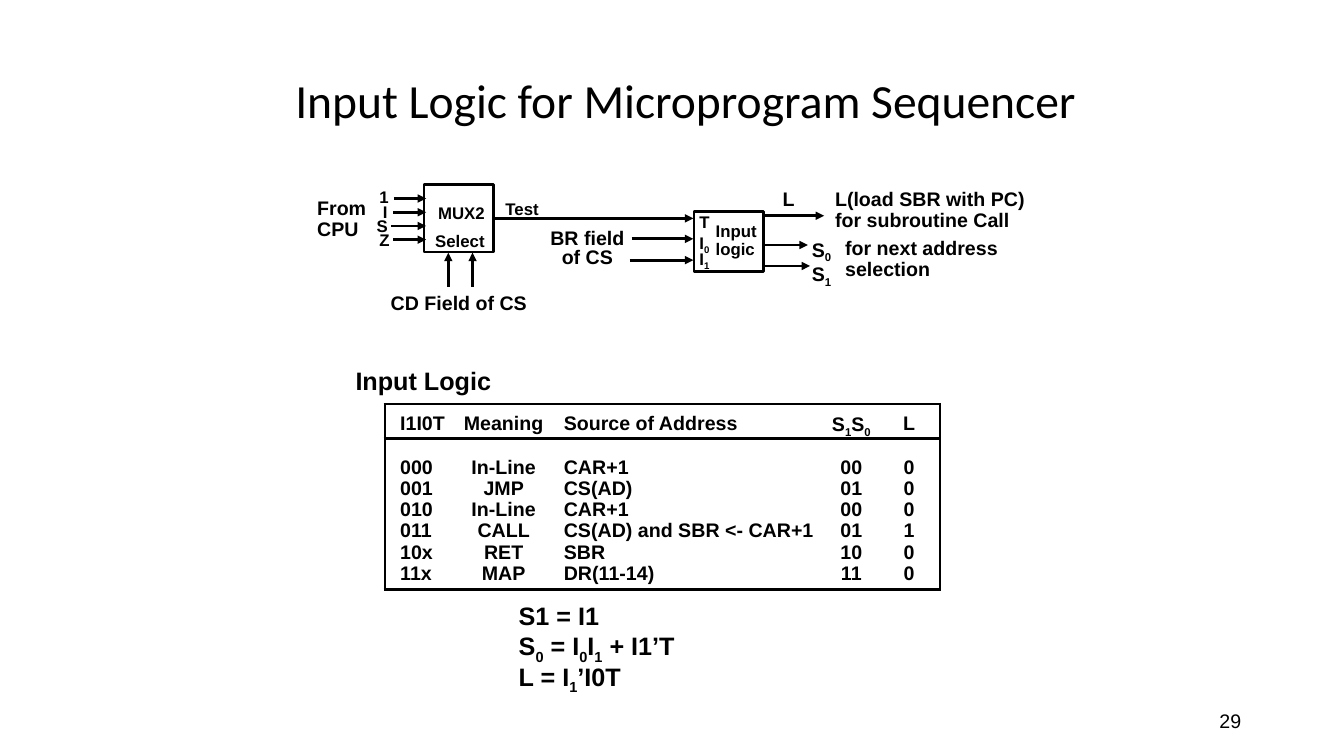
from pptx import Presentation
from pptx.dml.color import RGBColor
from pptx.enum.shapes import MSO_CONNECTOR, MSO_SHAPE
from pptx.enum.text import MSO_ANCHOR, PP_ALIGN
from pptx.oxml.ns import qn
from pptx.util import Pt
from lxml.etree import SubElement

BLACK = "000000"
LINE = 2
LEFT, CENTER, RIGHT = PP_ALIGN.LEFT, PP_ALIGN.CENTER, PP_ALIGN.RIGHT

MUX_INPUTS = [("1", 264, 281.5), ("I", 266.5, 281), ("S", 262, 279.5), ("Z", 264, 281)]
LOGIC_ROWS = [
    ("I1I0T", "Meaning", "Source of Address", "S_1S_0", "L"),
    ("000", "In-Line", "CAR+1", "00", "0"),
    ("001", "JMP", "CS(AD)", "01", "0"),
    ("010", "In-Line", "CAR+1", "00", "0"),
    ("011", "CALL", "CS(AD) and SBR <- CAR+1", "01", "1"),
    ("10x", "RET", "SBR", "10", "0"),
    ("11x", "MAP", "DR(11-14)", "11", "0"),
]
ROW_HEIGHTS = [24.5, 29.3] + [15.16] * 4 + [18]
TOP_MARGINS = [5, 14.14] + [0] * 5
COLUMNS = [(53, LEFT), (64, CENTER), (197, LEFT), (39, CENTER), (43.7, CENTER)]


def color(hex_value):
    return RGBColor.from_string(hex_value)


def write(tf, text, size=14, bold=True, font="Arial", align=LEFT, spacing=0.9):
    """Fill a text frame; an underscore makes the next character a subscript."""
    for i, line in enumerate(text.split("\n")):
        p = tf.paragraphs[0] if i == 0 else tf.add_paragraph()
        p.alignment, p.line_spacing = align, spacing
        first, *others = line.split("_")
        pieces = [(first, False)]
        for part in others:
            pieces += [(part[0], True), (part[1:], False)]
        for piece, subscript in pieces:
            if not piece:
                continue
            r = p.add_run()
            r.text = piece
            r.font.size, r.font.bold, r.font.name = Pt(size), bold, font
            r.font.color.rgb = color(BLACK)
            if subscript:
                r.font._element.set("baseline", "-25000")


def add_label(s, text, x, y, w, h, wrap=False, anchor=MSO_ANCHOR.TOP, **style):
    tf = s.shapes.add_textbox(Pt(x), Pt(y), Pt(w), Pt(h)).text_frame
    tf.word_wrap, tf.vertical_anchor = wrap, anchor
    write(tf, text, **style)


def add_block(s, x, y, w, h):
    block = s.shapes.add_shape(MSO_SHAPE.RECTANGLE, Pt(x), Pt(y), Pt(w), Pt(h))
    block.shadow.inherit = False
    block.fill.background()
    block.line.color.rgb, block.line.width = color(BLACK), Pt(LINE)
    return block


def add_arrow(s, x1, y1, x2, y2):
    arrow = s.shapes.add_connector(MSO_CONNECTOR.STRAIGHT, Pt(x1), Pt(y1), Pt(x2), Pt(y2))
    arrow.line.color.rgb, arrow.line.width = color(BLACK), Pt(LINE)
    SubElement(arrow.line._get_or_add_ln(), qn("a:tailEnd"), type="triangle")
    SubElement(arrow._element.spPr, qn("a:effectLst"))
    return arrow


def set_borders(cell, sides):
    """Draw the given sides of a cell, from L, R, T and B, and hide the others."""
    tcPr = cell._tc.get_or_add_tcPr()
    for i, side in enumerate("LRTB"):
        ln = SubElement(tcPr, qn("a:ln" + side), w=str(Pt(LINE)))
        if side in sides:
            fill = SubElement(ln, qn("a:solidFill"))
            SubElement(fill, qn("a:srgbClr"), val=BLACK)
        else:
            SubElement(ln, qn("a:noFill"))
        tcPr.insert(i, ln)


def add_logic_table(s, x, y):
    rows, cols = len(LOGIC_ROWS), len(COLUMNS)
    width = sum(w for w, _ in COLUMNS)
    frame = s.shapes.add_table(rows, cols, Pt(x), Pt(y), Pt(width), Pt(sum(ROW_HEIGHTS)))
    table = frame.table
    table.first_row = table.horz_banding = False
    for c, (w, _) in enumerate(COLUMNS):
        table.columns[c].width = Pt(w)
    for r, values in enumerate(LOGIC_ROWS):
        table.rows[r].height = Pt(ROW_HEIGHTS[r])
        for c, value in enumerate(values):
            cell, align = table.cell(r, c), COLUMNS[c][1]
            cell.fill.background()
            cell.margin_left = Pt(11 if align == LEFT else 0)
            cell.margin_right = cell.margin_bottom = 0
            cell.margin_top = Pt(TOP_MARGINS[r])
            cell.vertical_anchor = MSO_ANCHOR.MIDDLE if r == 0 else MSO_ANCHOR.TOP
            sides = "TB" if r == 0 else "T" if r == 1 else "B" if r == rows - 1 else ""
            sides += "L" if c == 0 else "R" if c == cols - 1 else ""
            set_borders(cell, sides)
            write(cell.text_frame, value, align=align)


def add_mux(s):
    for i, (name, label_x, start_x) in enumerate(MUX_INPUTS):
        add_label(s, name, label_x, 131.8 + 10.1 * i, 21, 20, size=12)
        y = 141.8 + 9.8 * i
        add_arrow(s, start_x, y, 304.5, y)
    mux = add_block(s, 303, 132, 50, 48)
    for x in (320.4, 337.7):
        add_arrow(s, x, 205, x, 180.5)
    add_label(s, "MUX2", 306, 142.6, 47.5, 20, size=12)
    add_label(s, "Select", 304, 162.7, 52, 20, size=12)
    add_label(s, "From\nCPU", 219.6, 138.2, 53.3, 37.4)
    add_label(s, "CD Field of CS", 263, 205.9, 130, 22.3, align=CENTER)
    return mux


def add_input_logic(s):
    add_block(s, 496, 151.2, 49.7, 42.5)
    add_label(s, "Input\nlogic", 504.4, 155.5, 48, 33, size=12)
    for name, y in (("T", 149), ("I_0", 162.7), ("I_1", 174.2)):
        add_label(s, name, 492.8, y, 28, 21, size=12)
    for x, y in ((451.4, 170.6), (450, 185.8)):
        add_arrow(s, x, y, 495.5, y)
    for x, y in ((589, 154.1), (577.4, 175), (578.9, 190)):
        add_arrow(s, 545.5, y, x, y)
    add_label(s, "BR field\nof CS", 382.8, 161.3, 74, 33.8, align=CENTER, spacing=0.8)
    add_label(s, "L", 552.2, 131.8, 26, 22.3)
    add_label(s, "L(load SBR with PC) for subroutine Call", 589.7, 131.8, 159.8, 37.4, wrap=True)
    add_label(s, "S_0\nS_1", 573.1, 166.3, 42, 41.8)
    add_label(s, "for next address\nselection", 596.9, 167, 132, 37.4)


def main():
    prs = Presentation()
    prs.slide_width, prs.slide_height = Pt(960.5), Pt(540)
    s = prs.slides.add_slide(prs.slide_layouts[5])

    title = s.shapes.title
    title.left, title.top, title.width, title.height = Pt(203.8), Pt(41.8), Pt(612), Pt(64)
    title.text_frame.vertical_anchor = MSO_ANCHOR.MIDDLE
    write(title.text_frame, "Input Logic for Microprogram Sequencer",
          size=34, bold=False, font="Calibri")

    mux = add_mux(s)
    add_input_logic(s)
    add_arrow(s, 353, 156, 495.5, 156).begin_connect(mux, 3)
    add_label(s, "Test", 354.2, 139.7, 45, 20, size=12)

    add_label(s, "Input Logic", 247, 260, 125, 26.6, size=18)
    add_logic_table(s, 275, 288.7)
    add_label(s, "S1 = I1\nS_0 = I_0I_1 + I1’T\nL = I_1’I0T", 363.6, 427.7, 140, 70.6, size=18)
    add_label(s, "29", 678.2, 500.4, 216, 28.8, wrap=True, anchor=MSO_ANCHOR.MIDDLE,
              bold=False, align=RIGHT, spacing=1.0)
    prs.save("out.pptx")


if __name__ == "__main__":
    main()
